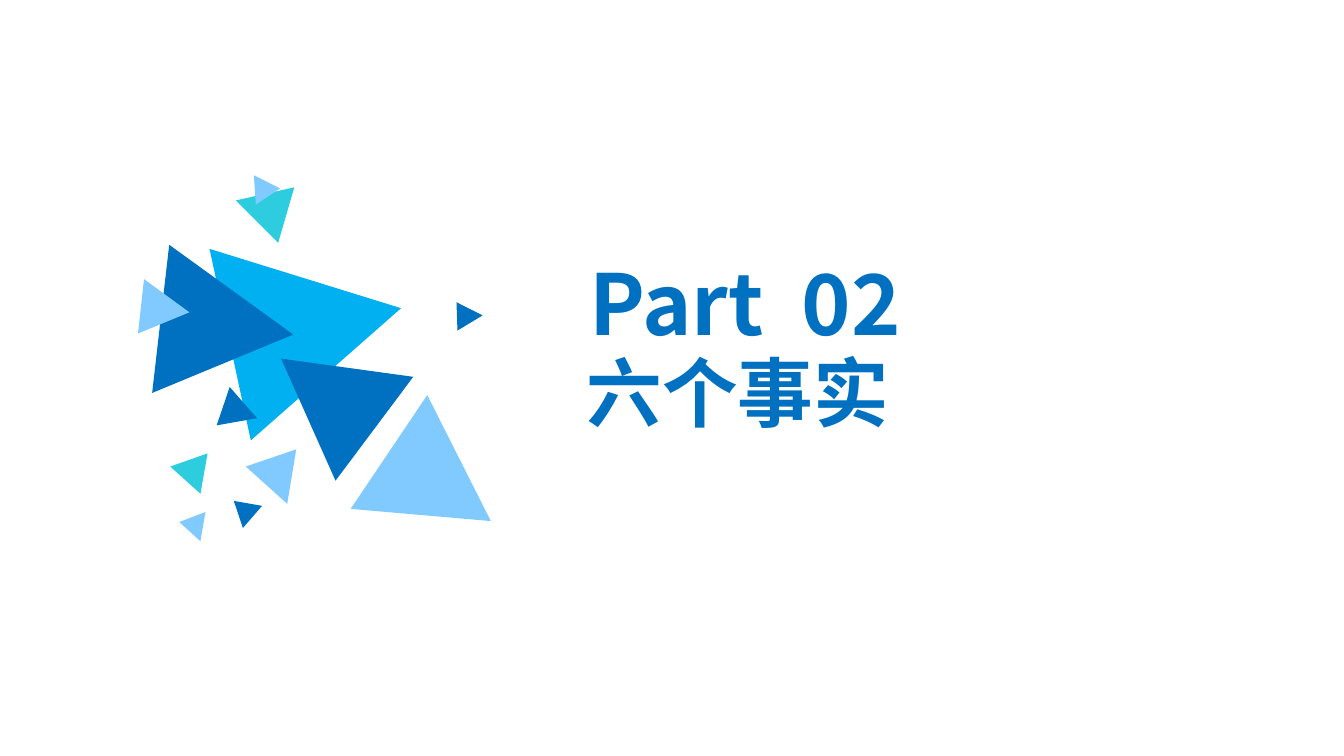
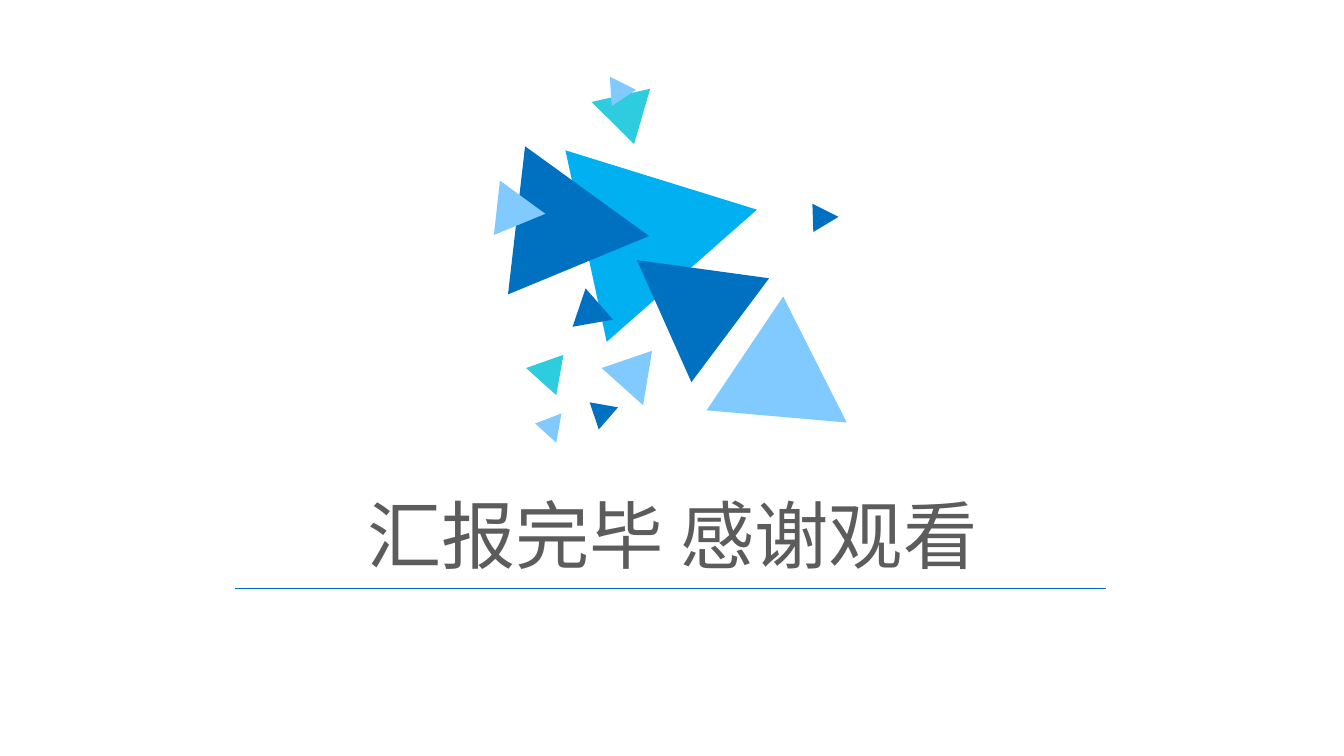
from dataclasses import dataclass
from lxml.etree import SubElement as Sub
from pptx import Presentation as Deck
from pptx.dml.color import RGBColor as RGB
from pptx.enum.shapes import MSO_CONNECTOR as Link
from pptx.enum.text import MSO_ANCHOR as Anchor, MSO_AUTO_SIZE as Fit, PP_ALIGN as Align
from pptx.oxml.ns import qn
from pptx.util import Pt


@dataclass(frozen=True)
class Theme:
    font: str = "Noto Sans CJK SC"
    deep: RGB = RGB(0x00, 0x70, 0xC0)
    sky: RGB = RGB(0x00, 0xB0, 0xF0)
    pale: RGB = RGB(0x80, 0xCA, 0xFF)
    teal: RGB = RGB(0x2D, 0xCC, 0xDF)
    gray: RGB = RGB(0x5C, 0x5C, 0x5C)
    label: int = 60
    head: int = 54
    thanks: int = 53
    thin: float = 0.5


LOOK = Theme()

# Triangle cluster: colour and corners, in points from its top left
SHARDS = [
    (LOOK.teal, (111.6, 8.6), (100.1, 48.2), (69.8, 18)),
    (LOOK.sky, (80.6, 189.4), (51.1, 52.6), (187.9, 95)),
    (LOOK.deep, (10.1, 155.5), (22.3, 49.7), (110.9, 113.8)),
    (LOOK.pale, (0, 113), (4.3, 74.2), (36.7, 97.9)),
    (LOOK.deep, (56.2, 178.6), (65.5, 151.2), (85, 173.5)),
    (LOOK.teal, (23, 208.1), (49.7, 198.7), (44.6, 227.5)),
    (LOOK.pale, (29.5, 247.7), (48.2, 240.5), (44.6, 261.4)),
    (LOOK.deep, (74.9, 252), (68.4, 232.6), (88.6, 236.2)),
    (LOOK.pale, (77, 208.1), (113, 195.8), (106.6, 234.7)),
    (LOOK.pale, (151.9, 238.3), (206.6, 157), (252, 247)),
    (LOOK.deep, (196.6, 144), (141.1, 218.2), (102.2, 131)),
    (LOOK.deep, (228.2, 110.9), (227.5, 90.7), (246.2, 100.1)),
    (LOOK.pale, (84.2, 20.9), (82.8, 0), (101.5, 9.4)),
]


class Pen:
    """Holds the style and the current slide."""

    def __init__(self, look):
        self.look = look
        self.deck = Deck()
        self.deck.slide_width, self.deck.slide_height = Pt(960), Pt(540)
        self.slide = None

    def page(self):
        self.slide = self.deck.slides.add_slide(self.deck.slide_layouts[5])

    def fill(self, frame, text, size, hue, bold=False, side=Align.LEFT, anchor=Anchor.TOP):
        frame.word_wrap = True
        frame.auto_size = Fit.NONE
        frame.vertical_anchor = anchor
        para = frame.paragraphs[0]
        para.alignment = side
        run = para.add_run()
        run.text = text
        font = run.font
        font.name, font.size, font.bold = self.look.font, Pt(size), bold
        font.color.rgb = hue
        # East Asian glyphs take their own typeface entry
        Sub(run._r.get_or_add_rPr(), qn("a:ea"), typeface=self.look.font)

    def title(self, box, text, size, hue, **style):
        head = self.slide.shapes.title
        head.left, head.top, head.width, head.height = map(Pt, box)
        self.fill(head.text_frame, text, size, hue, **style)

    def text(self, box, text, size, hue, **style):
        area = self.slide.shapes.add_textbox(*map(Pt, box))
        self.fill(area.text_frame, text, size, hue, **style)

    def shards(self, left, top):
        for hue, *corners in SHARDS:
            first, *rest = [(Pt(left + x), Pt(top + y)) for x, y in corners]
            edge = self.slide.shapes.build_freeform(*first)
            edge.add_line_segments(rest, close=True)
            shard = edge.convert_to_shape()
            shard.shadow.inherit = False
            shard.fill.solid()
            shard.fill.fore_color.rgb = hue
            shard.line.fill.background()

    def rule(self, left, right, y):
        line = self.slide.shapes.add_connector(
            Link.STRAIGHT, Pt(left), Pt(y), Pt(right), Pt(y))
        line.line.color.rgb = self.look.deep
        line.line.width = Pt(self.look.thin)
        Sub(line._element.spPr, qn("a:effectLst"))


def main():
    pen = Pen(LOOK)

    # Section opener
    pen.page()
    pen.shards(98.6, 125.2)
    pen.text((414, 176.4, 324, 80), "Part  02", LOOK.label, LOOK.deep, bold=True)
    pen.title((411.8, 243.4, 491, 72.7), "六个事实", LOOK.head, LOOK.deep, bold=True)

    # Closing slide
    pen.page()
    pen.shards(352.8, 54.8)
    pen.title((121.7, 360.7, 717.1, 41), "汇报完毕 感谢观看", LOOK.thanks, LOOK.gray,
              side=Align.CENTER, anchor=Anchor.MIDDLE)
    pen.rule(167.8, 789.8, 420.5)

    pen.deck.save("out.pptx")


if __name__ == "__main__":
    main()
